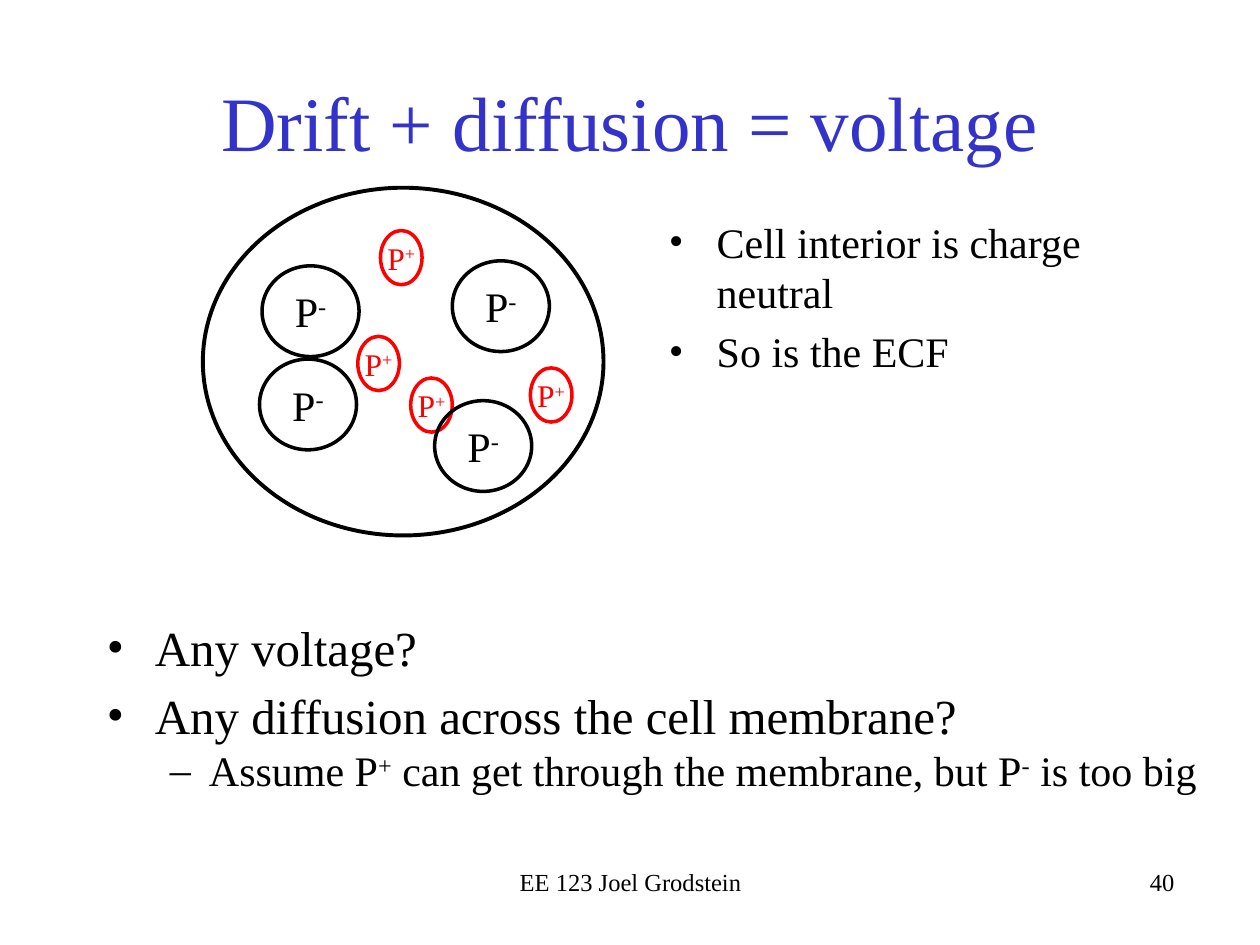
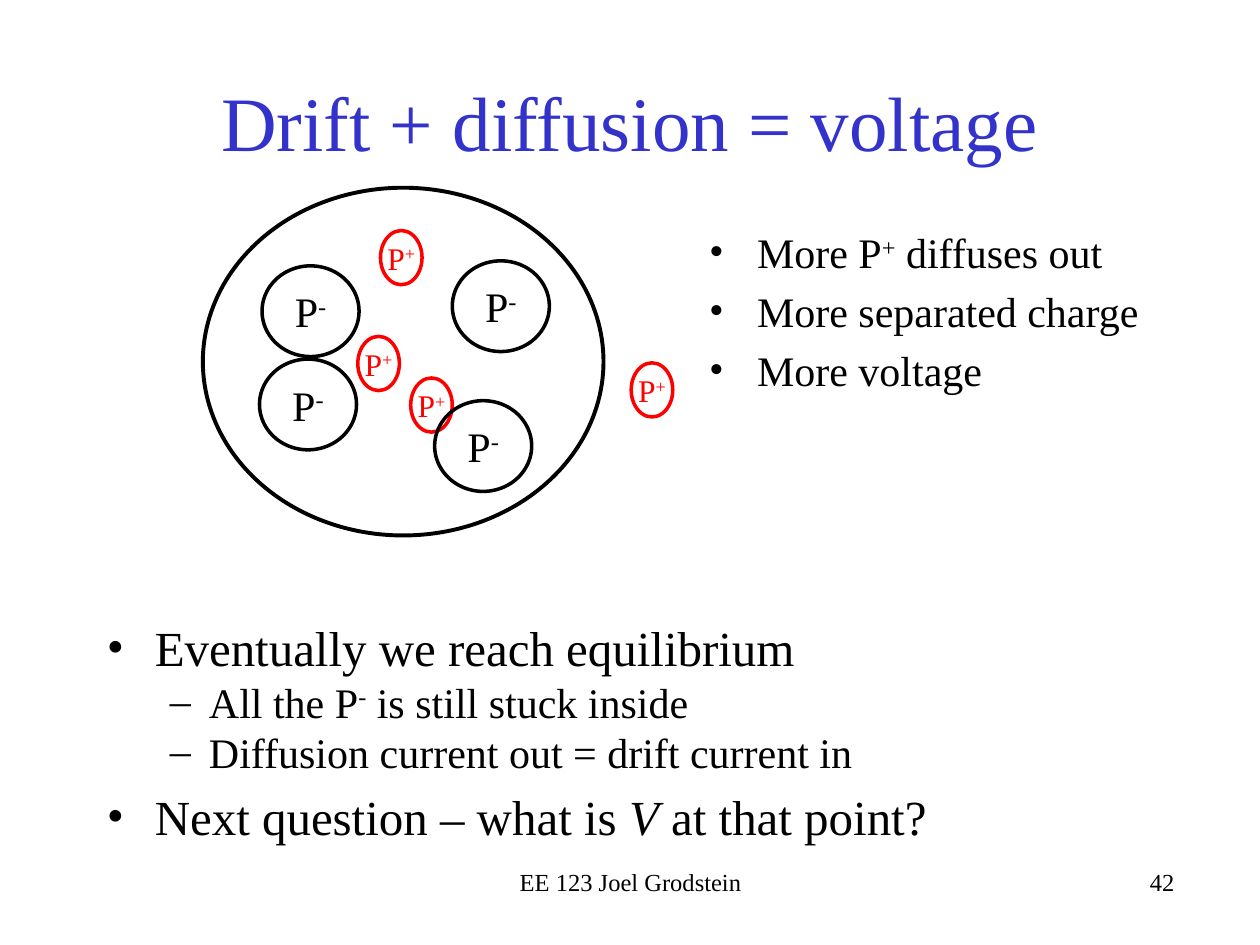
from dataclasses import dataclass

from lxml.etree import SubElement
from pptx import Presentation
from pptx.dml.color import RGBColor
from pptx.enum.shapes import MSO_SHAPE as Shape
from pptx.enum.text import MSO_ANCHOR as Anchor, PP_ALIGN as Align
from pptx.oxml.ns import qn
from pptx.util import Inches, Pt

BLACK = RGBColor(0x00, 0x00, 0x00)
RED = RGBColor(0xFF, 0x00, 0x00)
TITLE_BLUE = RGBColor(0x33, 0x33, 0xCC)
FONT = "Times New Roman"
TITLE = "Drift + diffusion = voltage"
FOOTER = "EE 123 Joel Grodstein"
TITLE_ONLY = 5


@dataclass(frozen=True)
class IonKind:
    text: str
    width: float
    height: float
    size: int
    color: RGBColor
    inset: float


@dataclass(frozen=True)
class Bullet:
    text: str
    size: int = 24
    sub: bool = False


@dataclass(frozen=True)
class CellSlide:
    number: int
    free_ion: tuple[float, float]
    side_corner: tuple[float, float]
    side: list[Bullet]
    body_width: float
    body: list[Bullet]


POSITIVE = IonKind("P|^+", 0.33, 0.43, 18, RED, 0)
NEGATIVE = IonKind("P|^-", 0.77, 0.72, 24, BLACK, 0.1)
POSITIVE_SPOTS = [(3.26, 3.0), (2.84, 2.67), (3.02, 1.83)]
NEGATIVE_SPOTS = [(3.59, 2.07), (3.45, 3.18), (2.06, 2.85), (2.08, 2.11)]

SLIDES = [
    CellSlide(
        40, (4.21, 2.92), (5.21, 1.67),
        [Bullet("Cell interior is charge neutral"), Bullet("So is the ECF")],
        8.98,
        [Bullet("Any voltage?", 28),
         Bullet("Any diffusion across the cell membrane?", 28),
         Bullet("Assume P|^+| can get through the membrane, but P|^-| is too big", sub=True)],
    ),
    CellSlide(
        42, (5.01, 2.88), (5.53, 1.75),
        [Bullet("More P|^+| diffuses out"), Bullet("More separated charge"),
         Bullet("More voltage")],
        7.78,
        [Bullet("Eventually we reach equilibrium", 28),
         Bullet("All the P|^-| is still stuck inside", sub=True),
         Bullet("Diffusion current out = drift current in", sub=True),
         Bullet("Next question – what is |~V| at that point?", 28)],
    ),
]


def write(paragraph, text: str, *, size: float, color: RGBColor = BLACK,
          align: Align = Align.LEFT) -> None:
    """Add runs split at |, where ^ marks a superscript and ~ marks italics."""
    paragraph.alignment = align
    for piece in text.split("|"):
        run = paragraph.add_run()
        run.text = piece.lstrip("^~")
        run.font.name = FONT
        run.font.size = Pt(size)
        run.font.color.rgb = color
        if piece.startswith("^"):
            run.font._element.set("baseline", "30000")
        if piece.startswith("~"):
            run.font.italic = True


def add_text_box(slide, left: float, top: float, width: float, height: float):
    box = slide.shapes.add_textbox(Inches(left), Inches(top), Inches(width), Inches(height))
    box.text_frame.word_wrap = True
    return box.text_frame


def add_bullets(slide, left: float, top: float, width: float, height: float,
                bullets: list[Bullet]) -> None:
    frame = add_text_box(slide, left, top, width, height)
    for index, bullet in enumerate(bullets):
        paragraph = frame.add_paragraph() if index else frame.paragraphs[0]
        margin, indent, mark = (0.81, -0.31, "–") if bullet.sub else (0.38, -0.38, "•")
        properties = paragraph._p.get_or_add_pPr()
        properties.set("marL", str(Inches(margin)))
        properties.set("indent", str(Inches(indent)))
        SubElement(properties, qn("a:buFont")).set("typeface", FONT)
        SubElement(properties, qn("a:buChar")).set("char", mark)
        if index and not bullet.sub:
            paragraph.space_before = Pt(0.2 * bullet.size)
        write(paragraph, bullet.text, size=bullet.size)


def add_ellipse(slide, left: float, top: float, width: float, height: float,
                color: RGBColor, line_width: float):
    ellipse = slide.shapes.add_shape(
        Shape.OVAL, Inches(left), Inches(top), Inches(width), Inches(height))
    ellipse.shadow.inherit = False
    ellipse.fill.background()
    ellipse.line.color.rgb = color
    ellipse.line.width = Pt(line_width)
    return ellipse


def add_ion(slide, kind: IonKind, left: float, top: float) -> None:
    frame = add_ellipse(slide, left, top, kind.width, kind.height, kind.color, 2).text_frame
    frame.word_wrap = False
    frame.vertical_anchor = Anchor.MIDDLE
    frame.margin_left = frame.margin_right = Inches(kind.inset)
    frame.margin_top = frame.margin_bottom = Inches(kind.inset / 2)
    write(frame.paragraphs[0], kind.text, size=kind.size, color=kind.color, align=Align.CENTER)


def add_frame(slide, number: int) -> None:
    # Title
    title = slide.shapes.title
    title.left, title.top = Inches(0.75), Inches(0.33)
    title.width, title.height = Inches(8.5), Inches(1.25)
    title.text_frame.vertical_anchor = Anchor.MIDDLE
    write(title.text_frame.paragraphs[0], TITLE, size=44, color=TITLE_BLUE, align=Align.CENTER)
    # Footer and slide number
    footer = add_text_box(slide, 3.42, 6.83, 3.17, 0.34)
    write(footer.paragraphs[0], FOOTER, size=14, align=Align.CENTER)
    page = add_text_box(slide, 6.25, 6.83, 3.17, 0.5)
    write(page.paragraphs[0], str(number), size=14, align=Align.RIGHT)


def add_cell_slide(presentation, content: CellSlide) -> None:
    slide = presentation.slides.add_slide(presentation.slide_layouts[TITLE_ONLY])
    add_frame(slide, content.number)
    # Cell membrane with its ions
    add_ellipse(slide, 1.61, 1.49, 3.18, 2.76, BLACK, 2.25)
    for spot in [*POSITIVE_SPOTS, content.free_ion]:
        add_ion(slide, POSITIVE, *spot)
    for spot in NEGATIVE_SPOTS:
        add_ion(slide, NEGATIVE, *spot)
    # Bullets beside the cell and below it
    add_bullets(slide, *content.side_corner, 4.32, 1.67, content.side)
    add_bullets(slide, 0.75, 4.85, content.body_width, 2.0, content.body)


def main() -> None:
    presentation = Presentation()
    presentation.slide_width, presentation.slide_height = Inches(10), Inches(7.5)
    for content in SLIDES:
        add_cell_slide(presentation, content)
    presentation.save("out.pptx")


if __name__ == "__main__":
    main()
